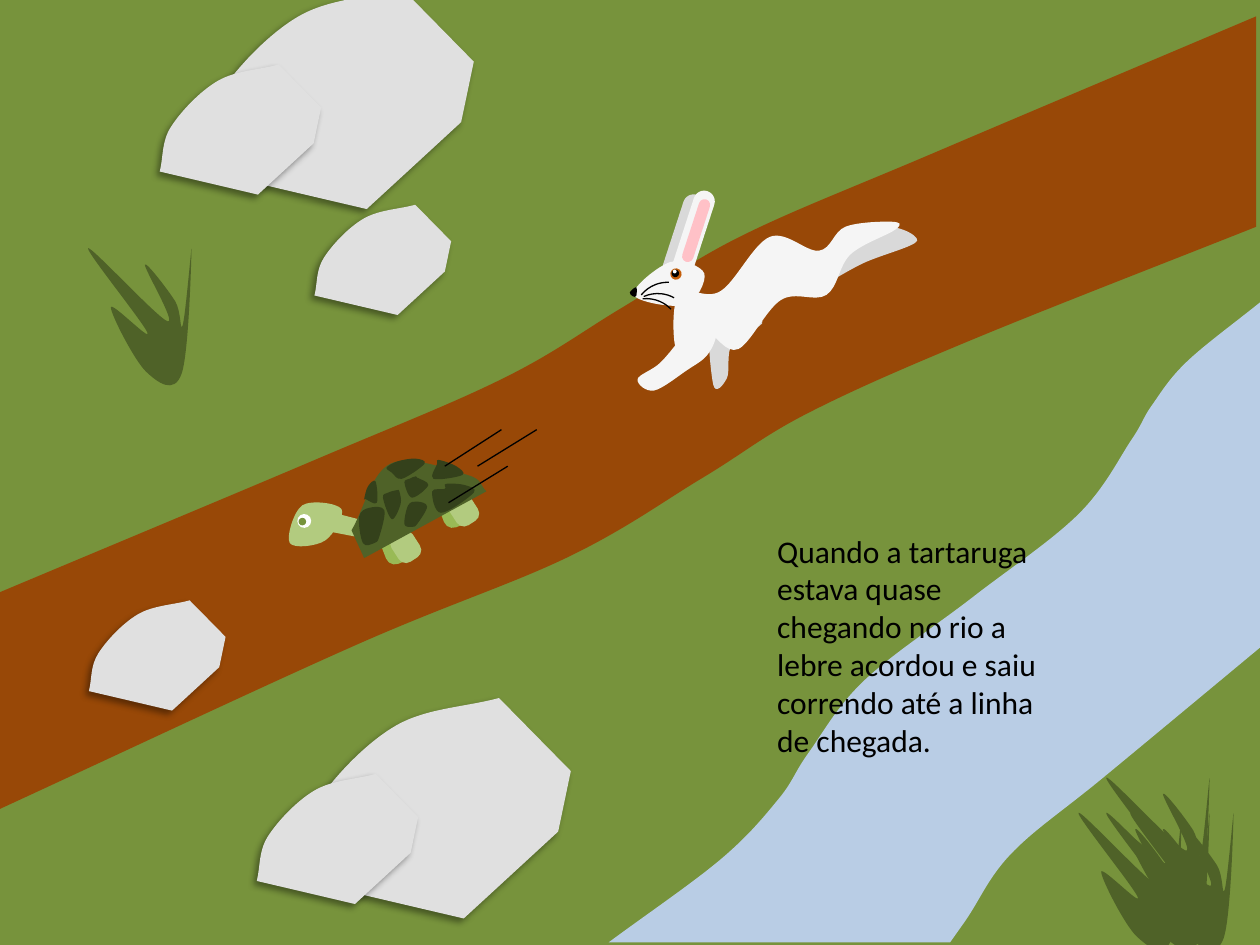
"""Build the tortoise and hare slide on a grid of 1000 columns by 750 rows."""
from dataclasses import dataclass, replace
from math import cos, radians, sin
from typing import Optional, Union

from lxml import etree
from pptx import Presentation
from pptx.dml.color import RGBColor
from pptx.enum.shapes import MSO_CONNECTOR, MSO_SHAPE
from pptx.enum.text import MSO_AUTO_SIZE
from pptx.oxml.ns import qn
from pptx.util import Inches, Pt

WIDTH, HEIGHT = Inches(10), Inches(7.5)
CELL = WIDTH // 1000

ROUND, OVAL, ARC = MSO_SHAPE.ROUNDED_RECTANGLE, MSO_SHAPE.OVAL, MSO_SHAPE.ARC
STRAIGHT, GROW = MSO_CONNECTOR.STRAIGHT, MSO_AUTO_SIZE.SHAPE_TO_FIT_TEXT

GRASS = RGBColor(0x77, 0x93, 0x3C)
LEAF = RGBColor(0x4F, 0x62, 0x28)
STONE = RGBColor(0xE0, 0xE0, 0xE0)
WATER = RGBColor(0xB9, 0xCD, 0xE5)
EARTH = RGBColor(0x98, 0x48, 0x07)
SKIN = RGBColor(0xB2, 0xCB, 0x7F)
SHADE = RGBColor(0x99, 0xBA, 0x56)
PATCH = RGBColor(0x34, 0x41, 0x1B)
FUR = RGBColor(0xF5, 0xF5, 0xF5)
GREY = RGBColor(0xD9, 0xD9, 0xD9)
PINK = RGBColor(0xFF, 0xC1, 0xC7)
AMBER = RGBColor(0xC4, 0x5D, 0x08)
BLACK = RGBColor(0, 0, 0)
WHITE = RGBColor(0xFF, 0xFF, 0xFF)

Box = tuple[float, float, float, float]


@dataclass(frozen=True)
class Blob:
    """A closed curve through knots; the knots listed in sharp are corners."""
    fill: RGBColor
    turn: float
    knots: tuple
    sharp: tuple = ()
    shadow: bool = False


@dataclass(frozen=True)
class Preset:
    """A preset shape; one without fill is drawn as a black line."""
    form: MSO_SHAPE
    fill: Optional[RGBColor]
    turn: float
    box: Box
    adjust: tuple = ()


Part = Union[Blob, Preset]


def copy_to(blob: Blob, x: float, y: float, scale: float = 1) -> Blob:
    """Return the blob scaled and moved so that its zero point is at x, y."""
    return replace(blob, knots=tuple((x + scale * u, y + scale * v) for u, v in blob.knots))


ROCK = Blob(STONE, 132.1, ((99, 8), (24, 77), (-108, 46), (-93, -14), (-30, -76), (52, -98), (109, -40)),
            sharp=(0, 1, 2, 5, 6), shadow=True)
BUSH = Blob(LEAF, 0, ((18, 47), (47, 67), (0, 0), (63, 58), (45, 13),
                      (69, 42), (75, 61), (82, 1), (74, 100), (46, 98)))

NORTH_BANK = ((483, 748), (572, 682), (618, 634), (642, 597), (686, 540), (772, 474),
              (856, 408), (898, 349), (914, 322), (942, 287), (1000, 240))
SOUTH_BANK = ((1000, 514), (877, 616), (803, 677), (766, 731), (754, 748))
RIVER = Blob(WATER, 135.3, NORTH_BANK + SOUTH_BANK, sharp=(0, 10, 11, 14, 15))

UPPER_EDGE = ((0, 470), (250, 365), (400, 300), (494, 244), (589, 187), (742, 121), (997, 13))
LOWER_EDGE = ((997, 180), (773, 269), (641, 328), (558, 379), (451, 442), (280, 513), (0, 642))
ROAD = Blob(EARTH, 334.4, UPPER_EDGE + LOWER_EDGE, sharp=(0, 6, 7, 13))

BIG, MID, SMALL = 1, 0.59, 0.5
SCENE = [
    copy_to(ROCK, 344, 652, BIG), copy_to(ROCK, 303.5, 211.5, SMALL), copy_to(ROCK, 267.5, 672, MID),
    *(copy_to(BUSH, x, y) for x, y in ((878, 617), (878, 645), (856, 645), (70, 197), (897, 645))),
    copy_to(ROCK, 267, 89, BIG), copy_to(ROCK, 190.5, 109, MID), RIVER, ROAD,
]
FRONT = copy_to(ROCK, 124.5, 525.5, SMALL)


def eye(turn: float, *rings: tuple) -> list[Preset]:
    """Stack circles, each given as colour, left, top and size."""
    return [Preset(OVAL, fill, turn, (x, y, size, size)) for fill, x, y, size in rings]


NECK = Blob(SKIN, 285.4, ((265, 407), (262, 422), (288, 427), (292, 414)), sharp=(0, 1, 2, 3))
LEGS = [
    Preset(ROUND, fill, turn, (x + shift, y, 24, high), (0.338,))
    for x, y in ((349, 395), (303, 424))
    for fill, turn, shift, high in ((SHADE, 68.7, 0, 22), (SKIN, 57.2, 7, 20))
]
SHELL = Blob(LEAF, 62.1, ((386, 390), (371, 377), (310, 368), (279, 421), (289, 443)), sharp=(0, 3, 4))
PATCHES = [Blob(PATCH, turn, knots) for turn, knots in (
    (287, ((330, 364), (316, 366), (307, 371), (311, 375), (319, 380), (337, 368))),
    (301.1, ((369, 385), (354, 384), (353, 388), (343, 390), (350, 407), (376, 391))),
    (225.7, ((292, 386), (289, 396), (290, 396), (299, 399), (298, 382))),
    (301.1, ((331, 379), (330, 378), (325, 380), (321, 383), (327, 395), (340, 385))),
    (221.9, ((324, 401), (321, 416), (327, 418), (331, 416), (339, 402), (331, 398))),
    (314.3, ((362, 370), (348, 365), (347, 368), (344, 380), (367, 377))),
    (203.6, ((285, 410), (288, 431), (297, 431), (301, 426), (305, 405), (293, 403))),
    (301.1, ((317, 390), (315, 389), (308, 391), (304, 395), (311, 412), (318, 400))),
)]
FACE = Blob(SKIN, 327.2, ((230, 431), (240, 401), (271, 404), (258, 429)))
TURTLE = [NECK, *LEGS, SHELL, *PATCHES, FACE, *eye(327.2, (WHITE, 236, 408, 11), (GRASS, 237, 411, 6))]
SPEED = [(403, 370, 356, 399), (426, 341, 379, 370), (398, 341, 353, 370)]

TILT = 339.9
FAR_EAR, NEAR_EAR, INNER_EAR = (
    Preset(ROUND, fill, 18, box, (0.5,))
    for fill, box in ((GREY, (534, 153, 17, 69)), (FUR, (542, 150, 17, 71)), (PINK, (548, 157, 9, 52))))
FAR_ARM = Blob(GREY, TILT, ((605, 255), (566, 247), (566, 305), (577, 300), (581, 273)))
FAR_FOOT = Blob(GREY, TILT, ((728, 191), (693, 182), (640, 232), (685, 209)))
BODY = Blob(FUR, TILT, ((611, 188), (572, 231), (539, 233), (536, 275), (550, 270), (562, 264), (586, 277),
                        (620, 238), (656, 234), (675, 202), (711, 182), (708, 176), (671, 180), (650, 199)))
ARM = Blob(FUR, TILT, ((568, 262), (551, 251), (542, 266), (524, 288),
                       (506, 301), (519, 310), (545, 294), (562, 281)))
HEAD = Blob(FUR, TILT, ((559, 217), (532, 208), (503, 234), (544, 242)))
NOSE = Blob(BLACK, 314.6, ((502, 235), (500, 232), (505, 228), (505, 235)))
BEARD = [Preset(ARC, None, turn, (x, y, 54, 54), (162, 193.74))
         for turn, x, y in ((309, 503, 224), (335.9, 495, 233), (353.7, 486, 237))]
HARE = [FAR_EAR, FAR_ARM, FAR_FOOT, BODY, ARM, HEAD, NEAR_EAR, INNER_EAR, NOSE, *BEARD,
        *eye(TILT, (AMBER, 532, 213, 9), (BLACK, 533, 214, 6), (WHITE, 534, 214, 3))]

STORY = ("Quando a tartaruga estava quase chegando no rio a lebre acordou e saiu "
         "correndo até a linha de chegada.")


def grid(values) -> list[int]:
    """Turn grid cells into slide lengths."""
    return [round(n * CELL) for n in values]


def curve(knots: list[complex], sharp: tuple) -> list[tuple]:
    """Join knots by Bezier arcs: smooth knots lean along their neighbours, corners aim at the next knot."""
    count = len(knots)
    lean = [(knots[(i + 1) % count] - knots[i - 1]) / 6 for i in range(count)]
    arcs = []
    for i, start in enumerate(knots):
        j = (i + 1) % count
        end = knots[j]
        third = (end - start) / 3
        leave = third if i in sharp else lean[i]
        reach = third if j in sharp else lean[j]
        arcs.append((start, start + leave, end - reach, end))
    return arcs


def trace(shapes, blob: Blob):
    """Build a blob upright in its own frame, then centre it where its turned frame belongs."""
    spin = complex(cos(radians(blob.turn)), sin(radians(blob.turn)))
    arcs = curve([complex(x, y) / spin for x, y in blob.knots], blob.sharp)
    marks = [arc[0] for arc in arcs] + [(a + 3 * b + 3 * c + d) / 8 for a, b, c, d in arcs]
    low = complex(min(m.real for m in marks), min(m.imag for m in marks))
    high = complex(max(m.real for m in marks), max(m.imag for m in marks))
    size = high - low
    corner = (low + high) / 2 * spin - size / 2

    maker = shapes.build_freeform(scale=CELL)
    maker.add_line_segments([(size.real, 0), (size.real, size.imag)])
    shape = maker.convert_to_shape()
    shape.left, shape.top, shape.width, shape.height = grid((corner.real, corner.imag, size.real, size.imag))

    track = shape._element.xpath(".//a:path")[0]
    for child in list(track):
        track.remove(child)
    track.set("w", str(shape.width))
    track.set("h", str(shape.height))
    steps = [("a:moveTo", arcs[0][:1])] + [("a:cubicBezTo", arc[1:]) for arc in arcs]
    for tag, spots in steps:
        step = etree.SubElement(track, qn(tag))
        for spot in spots:
            x, y = grid(((spot - low).real, (spot - low).imag))
            etree.SubElement(step, qn("a:pt"), x=str(x), y=str(y))
    etree.SubElement(track, qn("a:close"))
    return shape


def stamp(shapes, part: Preset):
    """Add a preset shape with its adjustments."""
    shape = shapes.add_shape(part.form, *grid(part.box))
    for i, value in enumerate(part.adjust):
        shape.adjustments[i] = value
    return shape


def cast(shape) -> None:
    """Give a shape a soft shadow to the lower left."""
    glow = etree.SubElement(shape._element.spPr.find(qn("a:effectLst")), qn("a:outerShdw"),
                            blurRad=str(Pt(4)), dist=str(Pt(3)), dir="8100000", algn="tr", rotWithShape="0")
    tint = etree.SubElement(glow, qn("a:srgbClr"), val=str(BLACK))
    etree.SubElement(tint, qn("a:alpha"), val="40000")


def ink(line) -> None:
    """Make a line thin and black."""
    line.color.rgb = BLACK
    line.width = Pt(0.75)


def draw(shapes, part: Part):
    """Draw a part with its turn, fill and shadow."""
    shape = trace(shapes, part) if isinstance(part, Blob) else stamp(shapes, part)
    shape.rotation = part.turn
    shape.shadow.inherit = False
    if part.fill is None:
        shape.fill.background()
        ink(shape.line)
    else:
        shape.fill.solid()
        shape.fill.fore_color.rgb = part.fill
        shape.line.fill.background()
    if isinstance(part, Blob) and part.shadow:
        cast(shape)
    return shape


def streak(shapes, ends: Box):
    """Draw one speed line."""
    line = shapes.add_connector(STRAIGHT, *grid(ends))
    ink(line.line)
    etree.SubElement(line._element.spPr, qn("a:effectLst"))
    return line


def write(shapes, box: Box, text: str) -> None:
    """Write the story text."""
    frame = shapes.add_textbox(*grid(box)).text_frame
    frame.word_wrap = True
    frame.auto_size = GROW
    frame.text = text
    font = frame.paragraphs[0].runs[0].font
    font.name, font.size = "Calibri", Pt(18)
    font.color.rgb = BLACK


def main() -> None:
    """Build and save the slide."""
    deck = Presentation()
    deck.slide_width, deck.slide_height = WIDTH, HEIGHT
    slide = deck.slides.add_slide(deck.slide_layouts[6])
    slide.background.fill.solid()
    slide.background.fill.fore_color.rgb = GRASS
    shapes = slide.shapes
    for part in SCENE:
        draw(shapes, part)
    shapes.add_group_shape([draw(shapes, part) for part in TURTLE] + [streak(shapes, ends) for ends in SPEED])
    shapes.add_group_shape([draw(shapes, part) for part in HARE])
    write(shapes, (607, 417, 247, 192), STORY)
    draw(shapes, FRONT)
    deck.save("out.pptx")


if __name__ == "__main__":
    main()
